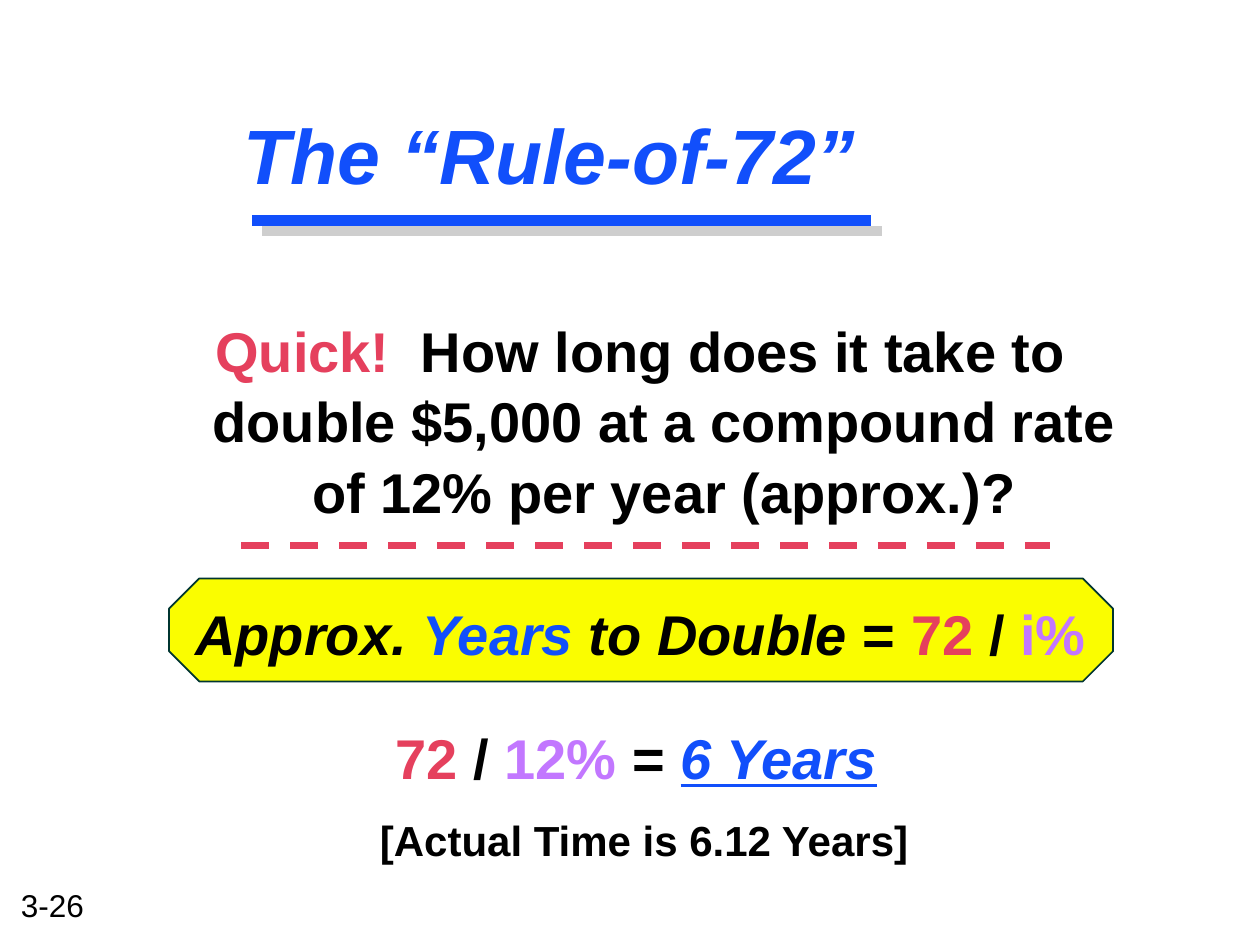
import pptx
import pptx.util
import pptx.dml.color
import pptx.enum.dml
import pptx.enum.shapes
import pptx.enum.text
import pptx.oxml
import pptx.oxml.ns

Pt = pptx.util.Pt
Inches = pptx.util.Inches
RGB = pptx.dml.color.RGBColor.from_string
CENTER = pptx.enum.text.PP_ALIGN.CENTER
hues = {"black": "000000", "blue": "114FFB", "red": "E5405D", "violet": "C277FF",
        "yellow": "FAFD00", "edge": "003530", "gray": "CECECE"}

deck = pptx.Presentation()
deck.slide_width, deck.slide_height = Inches(10), Inches(7.5)
slide = deck.slides.add_slide(deck.slide_layouts[6])
shapes = slide.shapes

# Grid of 120 columns by 90 rows
col = deck.slide_width / 120
row = deck.slide_height / 90


def cells(x, y, w, h):
    return int(x * col), int(y * row), int(w * col), int(h * row)


def write(para, size, runs, bold=True, left=0, hang=0):
    props = para._p.get_or_add_pPr()
    props.set("marL", str(Inches(left)))
    props.set("indent", str(-Inches(hang)))
    para.font.name, para.font.size, para.font.bold = "Arial", Pt(size), bold
    for words, hue, slant in runs:
        run = para.add_run()
        run.text = words
        run.font.color.rgb = RGB(hues[hue])
        run.font.italic = slant


# Formula plate
plate = shapes.add_shape(pptx.enum.shapes.MSO_SHAPE.OCTAGON, *cells(16.1, 55.1, 89.9, 9.8))
plate.adjustments[0] = 0.293
plate.shadow.inherit = False
plate.fill.solid()
plate.fill.fore_color.rgb = RGB(hues["yellow"])
plate.line.color.rgb = RGB(hues["edge"])
plate.line.width = Pt(1)

# Rules: title underline with its shade, then the dashed divider
for x, end, y, hue, width, dash in [(25, 84, 22, "gray", 6, False),
                                    (24, 83, 21, "blue", 6, False),
                                    (23, 100, 52, "red", 4, True)]:
    rule = shapes.add_connector(pptx.enum.shapes.MSO_CONNECTOR.STRAIGHT,
                                int(x * col), int(y * row), int(end * col), int(y * row))
    rule.line.color.rgb = RGB(hues[hue])
    rule.line.width = Pt(width)
    if dash:
        rule.line.dash_style = pptx.enum.dml.MSO_LINE.DASH
    rule._element.spPr.append(pptx.oxml.parse_xml(
        "<a:effectLst %s/>" % pptx.oxml.ns.nsdecls("a")))

# Text frames
title, ask, answer, page = [shapes.add_textbox(*cells(*spot)).text_frame for spot in [
    (22, 6.25, 89, 16.8), (14, 29.2, 94, 18), (11, 56.2, 100, 32), (0.8, 83.8, 8.8, 4.8)]]
for frame in (title, ask, answer):
    frame.word_wrap = True

# Title with a text shadow
title.vertical_anchor = pptx.enum.text.MSO_ANCHOR.MIDDLE
head = title.paragraphs[0]
write(head, 44, [("The “Rule-of-72”", "blue", True)])
fill = head.runs[0]._r.get_or_add_rPr().find(pptx.oxml.ns.qn("a:solidFill"))
fill.addnext(pptx.oxml.parse_xml(
    '<a:effectLst %s><a:outerShdw dist="63500" dir="2700000"><a:srgbClr val="%s"/>'
    '</a:outerShdw></a:effectLst>' % (pptx.oxml.ns.nsdecls("a"), hues["gray"])))

# Question
para = ask.paragraphs[0]
para.alignment = CENTER
para.line_spacing = 1.05
write(para, 32, [("Quick!  ", "red", False),
                 ("How long does it take to double $5,000 at a compound rate "
                  "of 12% per year (approx.)?", "black", False)], left=0.38, hang=0.38)

# Formula, worked example and exact time
lines = [
    (32, 0, 24, 0.38, 0.38, [
        ("Approx. ", "black", True), ("Years ", "blue", True), ("to Double ", "black", True),
        ("= ", "black", False), ("72 ", "red", False), ("/ ", "black", False),
        ("i%", "violet", False)]),
    (32, 6.4, 7, 2.25, 0.25, [
        (" 72", "red", False), (" / ", "black", False), ("12%", "violet", False),
        (" = ", "black", False), ("6 Years", "blue", True)]),
    (24, 5, 0, 2.25, 0.25, [("[Actual Time is 6.12 Years]", "black", False)]),
]
for i, (size, before, after, left, hang, runs) in enumerate(lines):
    para = answer.add_paragraph() if i else answer.paragraphs[0]
    para.line_spacing = 1.05
    para.space_before, para.space_after = Pt(before), Pt(after)
    write(para, size, runs, left=left, hang=hang)
answer.paragraphs[0].alignment = CENTER
answer.paragraphs[1].runs[-1].font.underline = True

# Page number
page.word_wrap = False
write(page.paragraphs[0], 18, [("3-26", "black", False)], bold=False)

deck.save("out.pptx")
